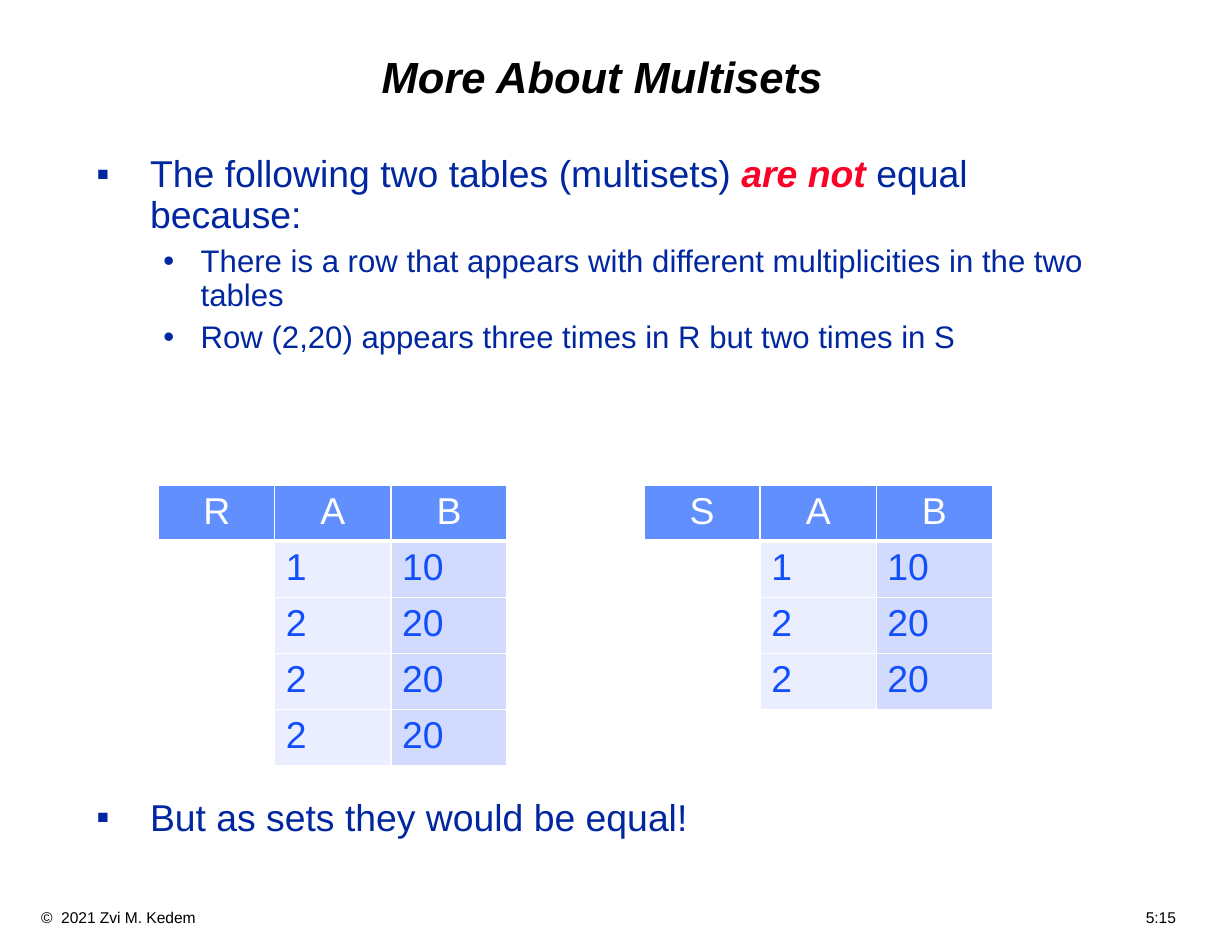
from lxml import etree
from pptx import Presentation
from pptx.dml.color import RGBColor
from pptx.enum import text
from pptx.oxml import ns
from pptx.util import Pt

# Content
TITLE = "More About Multisets"
FOOTER = "©  2021 Zvi M. Kedem\t5:15"
# Each point: level, space before, runs of (words, stressed)
POINTS = [
    (0, 0, [("The following two tables (multisets) ", False),
            ("are not", True), (" equal because:", False)]),
    (1, 6, [("There is a row that appears with different "
             "multiplicities in the two tables", False)]),
    (1, 6, [("Row (2,20) appears three times in R but two times in S", False)]),
    (0, 285, [("But as sets they would be equal!", False)]),
]
RELATIONS = [
    ("R", [(1, 10), (2, 20), (2, 20), (2, 20)]),
    ("S", [(1, 10), (2, 20), (2, 20)]),
]

# Format
COLORS = {"black": "000000", "white": "FFFFFF", "navy": "00279F",
          "red": "FC0128", "header": "618FFD", "value": "114FFB"}
COLUMN_FILLS = ["FFFFFF", "EAEEFF", "D2DBFE"]
LEVELS = [
    {"size": 24, "bullet": "▪", "left": 34.5, "hang": 34.5},
    {"size": 20, "bullet": "•", "left": 67, "hang": 24},
]
COLUMN_WIDTH, ROW_HEIGHT = 74.67, 29.25
TABLES_LEFT, TABLES_TOP, TABLES_STEP = 102, 312, 312


def add_run(paragraph, words, size, color, **style):
    run = paragraph.add_run()
    run.text = words
    for key, value in {"name": "Arial", "size": Pt(size), **style}.items():
        setattr(run.font, key, value)
    run.font.color.rgb = RGBColor.from_string(color)


def add_box(left, top, width, height, **frame_format):
    box = slide.shapes.add_textbox(Pt(left), Pt(top), Pt(width), Pt(height))
    frame = box.text_frame
    margins = {"margin_left": Pt(8), "margin_right": Pt(8),
               "margin_top": Pt(4), "margin_bottom": Pt(4)}
    for key, value in {"word_wrap": True, **margins, **frame_format}.items():
        setattr(frame, key, value)
    return frame


def add_child(parent, tag, **attributes):
    child = etree.SubElement(parent, ns.qn(tag))
    for key, value in attributes.items():
        child.set(key, str(value))
    return child


def set_bullet(paragraph, level):
    props = paragraph._p.get_or_add_pPr()
    props.set("marL", str(Pt(level["left"])))
    props.set("indent", str(-Pt(level["hang"])))
    add_child(add_child(props, "a:buClr"), "a:srgbClr", val=COLORS["navy"])
    add_child(props, "a:buFont", typeface="Arial")
    add_child(props, "a:buChar", char=level["bullet"])


def format_cell(cell, fill, bottom_width):
    props = cell._tc.get_or_add_tcPr()
    widths = {"a:lnL": 1, "a:lnR": 1, "a:lnT": 1, "a:lnB": bottom_width}
    for side, width in widths.items():
        line = add_child(props, side, w=Pt(width))
        add_child(add_child(line, "a:solidFill"), "a:srgbClr", val=COLORS["white"])
    cell.fill.solid()
    cell.fill.fore_color.rgb = RGBColor.from_string(fill)


def add_relation(name, tuples, left):
    rows = [(name, "A", "B")] + [("", a, b) for a, b in tuples]
    table = slide.shapes.add_table(
        len(rows), 3, Pt(left), Pt(TABLES_TOP),
        Pt(3 * COLUMN_WIDTH), Pt(len(rows) * ROW_HEIGHT)).table
    for column in table.columns:
        column.width = Pt(COLUMN_WIDTH)
    for r, values in enumerate(rows):
        table.rows[r].height = Pt(ROW_HEIGHT)
        header = r == 0
        for c, value in enumerate(values):
            cell = table.cell(r, c)
            format_cell(cell, COLORS["header"] if header else COLUMN_FILLS[c],
                        3 if header else 1)
            if value == "":
                continue
            paragraph = cell.text_frame.paragraphs[0]
            if header:
                paragraph.alignment = text.PP_ALIGN.CENTER
            add_run(paragraph, str(value), 24,
                    COLORS["white" if header else "value"], bold=False)


presentation = Presentation()
presentation.slide_width, presentation.slide_height = Pt(792), Pt(612)
slide = presentation.slides.add_slide(presentation.slide_layouts[6])

# Footer: copyright on the left, page number at a right tab
footer = add_box(0, 580, 792, 19.5, margin_left=Pt(26.5)).paragraphs[0]
tabs = add_child(footer._p.get_or_add_pPr(), "a:tabLst")
add_child(tabs, "a:tab", pos=Pt(729.5), algn="r")
add_run(footer, FOOTER, 10, COLORS["black"])

# Title
title = add_box(54, 18, 666, 66,
                vertical_anchor=text.MSO_ANCHOR.MIDDLE).paragraphs[0]
title.alignment = text.PP_ALIGN.CENTER
title.line_spacing = 0.9
add_run(title, TITLE, 28, COLORS["black"], bold=True, italic=True)

# Points above and below the tables
body = add_box(54, 96, 672, 480)
for i, (depth, space, runs) in enumerate(POINTS):
    point = body.paragraphs[0] if i == 0 else body.add_paragraph()
    point.level = depth
    point.line_spacing = 0.9
    point.space_before = Pt(space)
    set_bullet(point, LEVELS[depth])
    for words, stressed in runs:
        add_run(point, words, LEVELS[depth]["size"],
                COLORS["red" if stressed else "navy"],
                bold=stressed, italic=stressed)

# Tables
for i, (name, tuples) in enumerate(RELATIONS):
    add_relation(name, tuples, TABLES_LEFT + i * TABLES_STEP)

presentation.save("out.pptx")
